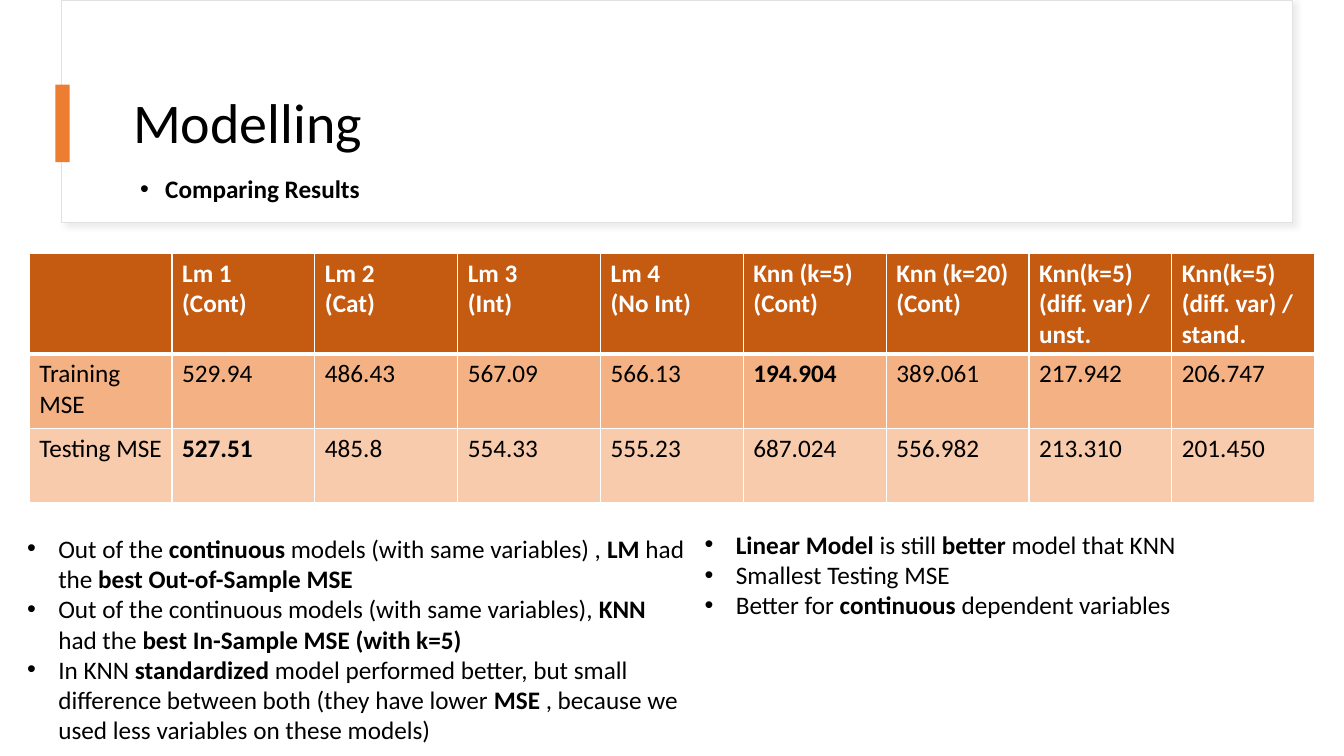
from lxml import etree
from pptx import Presentation
from pptx.dml.color import RGBColor
from pptx.enum.shapes import MSO_SHAPE
from pptx.enum.text import MSO_ANCHOR
from pptx.oxml import parse_xml
from pptx.oxml.ns import nsdecls, qn
from pptx.util import Inches, Pt

RECT = MSO_SHAPE.RECTANGLE
MIDDLE = MSO_ANCHOR.MIDDLE
FONT = "Calibri"
BLACK, WHITE, ORANGE = "000000", "FFFFFF", "ED7D31"
FILLS = ["C55A11", "F4B183", "F8CBAD"]
HEIGHTS = [1, 0.74, 0.74]

ROWS = [
    ["", "Lm 1\n(Cont)", "Lm 2\n(Cat)", "Lm 3\n(Int)", "Lm 4\n(No Int)",
     "Knn (k=5)\n(Cont)", "Knn (k=20)\n(Cont)",
     "Knn(k=5)\n(diff. var) / unst.", "Knn(k=5)\n(diff. var) / stand."],
    ["Training MSE", "529.94", "486.43", "567.09", "566.13",
     "**194.904**", "389.061", "217.942", "206.747"],
    ["Testing MSE", "**527.51**", "485.8", "554.33", "555.23",
     "687.024", "556.982", "213.310", "201.450"],
]
LEFT = [
    "Out of the **continuous** models (with same variables) , **LM** had the "
    "**best Out-of-Sample MSE**",
    "Out of the continuous models (with same variables), **KNN** had the "
    "**best In-Sample MSE (with k=5)**",
    "In KNN **standardized** model performed better, but small difference "
    "between both (they have lower **MSE** , because we used less variables "
    "on these models)",
]
RIGHT = [
    "**Linear Model **is still **better** model that KNN",
    "Smallest Testing MSE",
    "Better for **continuous** dependent variables",
]


def color(code):
    return RGBColor.from_string(code)


def add_runs(para, text, size=18, ink=BLACK, bold=False):
    """Add text run by run; parts between ** marks are bold."""
    for i, part in enumerate(text.split("**")):
        if part:
            run = para.add_run()
            run.text = part
            font = run.font
            font.name, font.size = FONT, Pt(size)
            font.bold = bold or i % 2 == 1
            font.color.rgb = color(ink)


def add_bullet(para, indent):
    props = para._p.get_or_add_pPr()
    props.set("marL", str(Inches(indent)))
    props.set("indent", str(-Inches(indent)))
    etree.SubElement(props, qn("a:buFont")).set("typeface", "Arial")
    etree.SubElement(props, qn("a:buChar")).set("char", "•")


def add_paras(frame, lines, indent=0, **style):
    for i, line in enumerate(lines):
        para = frame.add_paragraph() if i else frame.paragraphs[0]
        if indent:
            add_bullet(para, indent)
        add_runs(para, line, **style)


def add_list(slide, box, lines, indent=0.31):
    frame = slide.shapes.add_textbox(*map(Inches, box)).text_frame
    frame.word_wrap = True
    add_paras(frame, lines, indent)
    return frame


def add_rect(slide, box, fill, line=None):
    rect = slide.shapes.add_shape(RECT, *map(Inches, box))
    rect.shadow.inherit = False
    rect.fill.solid()
    rect.fill.fore_color.rgb = color(fill)
    if line:
        rect.line.color.rgb = color(line)
        rect.line.width = Pt(1)
    else:
        rect.line.fill.background()
    return rect


def add_shadow(shape):
    effects = shape._element.spPr.find(qn("a:effectLst"))
    effects.append(parse_xml(
        f'<a:outerShdw {nsdecls("a")} blurRad="{Pt(4)}" dist="{Pt(3)}" '
        'dir="2700000" algn="tl" rotWithShape="0"><a:srgbClr val="D9D9D9">'
        '<a:alpha val="50000"/></a:srgbClr></a:outerShdw>'))


def add_header(slide, box):
    x, y, w, h = box
    add_shadow(add_rect(slide, box, WHITE, "E1E1E1"))
    add_rect(slide, (x - 0.06, y + 0.84, 0.14, 0.77), ORANGE)

    title = slide.shapes.title
    title.left, title.top = Inches(x + 0.61), Inches(y + 0.6)
    title.width, title.height = Inches(w - 1.09), Inches(1.29)
    frame = title.text_frame
    frame.vertical_anchor = MIDDLE
    para = frame.paragraphs[0]
    para.alignment = 1
    para.line_spacing = 0.9
    add_runs(para, "Modelling", 40)
    tree = slide.shapes._spTree
    tree.remove(title._element)
    tree.append(title._element)

    sub = add_list(slide, (x + 0.68, y + 1.31, 7.29, 1.15),
                   ["**Comparing Results**"], 0.25)
    sub.vertical_anchor = MIDDLE
    sub.paragraphs[0].line_spacing = 0.9


def add_borders(cell, bottom):
    props = cell._tc.get_or_add_tcPr()
    for side in ("L", "R", "T", "B"):
        width = bottom if side == "B" else 1
        props.append(parse_xml(
            f'<a:ln{side} {nsdecls("a")} w="{Pt(width)}"><a:solidFill>'
            f'<a:srgbClr val="{WHITE}"/></a:solidFill></a:ln{side}>'))


def add_results(slide, box):
    table = slide.shapes.add_table(
        len(ROWS), len(ROWS[0]), *map(Inches, box)).table
    for col in table.columns:
        col.width = Inches(box[2] / len(ROWS[0]))
    for r, texts in enumerate(ROWS):
        table.rows[r].height = Inches(HEIGHTS[r])
        head = r == 0
        for c, text in enumerate(texts):
            cell = table.cell(r, c)
            add_borders(cell, 3 if head else 1)
            cell.fill.solid()
            cell.fill.fore_color.rgb = color(FILLS[r])
            add_paras(cell.text_frame, text.split("\n"),
                      ink=WHITE if head else BLACK, bold=head)


def main():
    deck = Presentation()
    deck.slide_width, deck.slide_height = Inches(13.33), Inches(7.5)
    slide = deck.slides.add_slide(deck.slide_layouts[5])
    add_header(slide, (0.61, 0, 12.21, 2.21))
    add_results(slide, (0.29, 2.51, 12.75, sum(HEIGHTS)))
    add_list(slide, (0.17, 5.24, 6.72, 2.26), LEFT)
    add_list(slide, (6.89, 5.2, 6.44, 1.62), RIGHT)
    deck.save("out.pptx")


if __name__ == "__main__":
    main()
